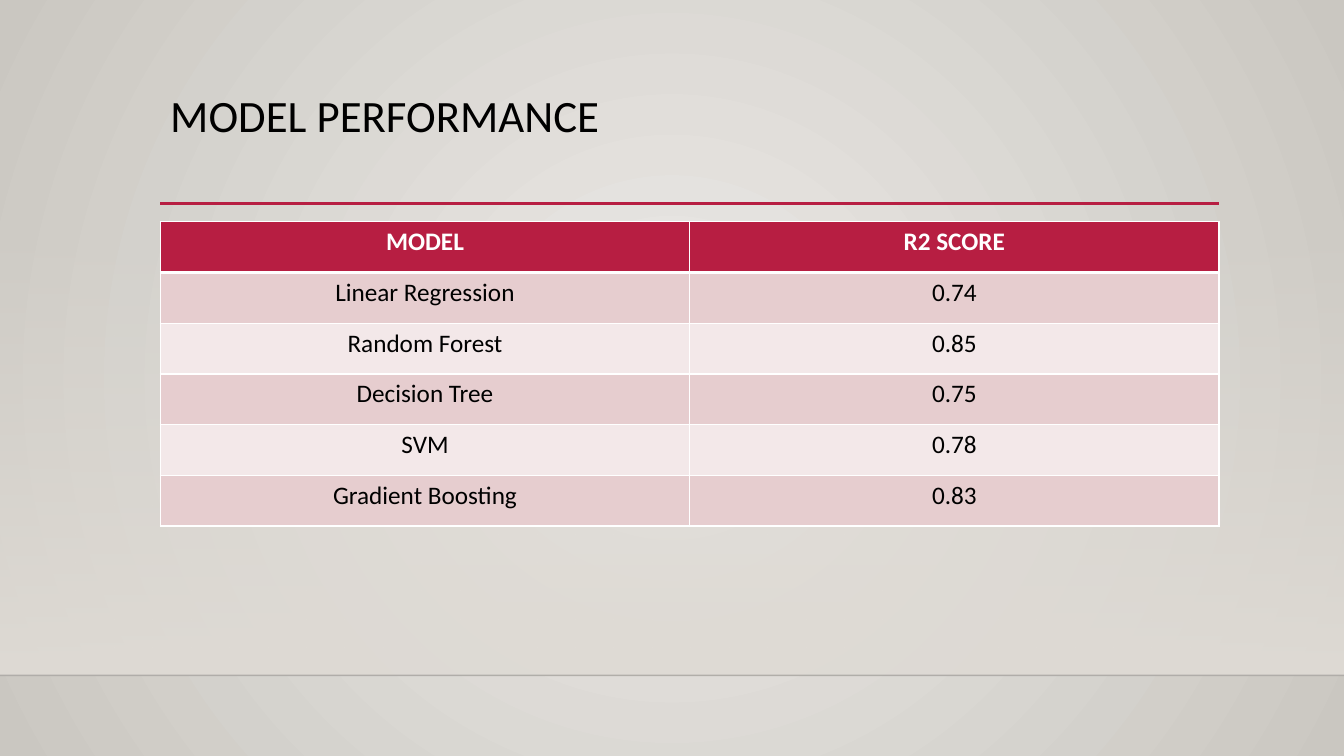
from lxml.etree import SubElement
from pptx import Presentation
from pptx.dml.color import RGBColor
from pptx.enum.shapes import MSO_CONNECTOR as Connector, MSO_SHAPE as Shape
from pptx.enum.text import MSO_ANCHOR as Anchor, PP_ALIGN as Align
from pptx.oxml import parse_xml
from pptx.oxml.ns import nsdecls, qn
from pptx.util import Inches, Pt

WIDTH, HEIGHT = Inches(13.33), Inches(7.5)
LEFT, CONTENT_WIDTH = Inches(1.59), Inches(10.5)
FLOOR_TOP = Inches(6.7)
FONT = "Calibri"
COLORS = {
    "glow": "ECEAE7", "edge": "CAC7C1", "wall": "DFDBD5", "floor_line": "000001",
    "accent": "B71E42", "text": "000000", "white": "FFFFFF",
    "band_dark": "E6CDCF", "band_light": "F3E8E9",
}
SCORES = [
    ("MODEL", "R2 SCORE"),
    ("Linear Regression", "0.74"),
    ("Random Forest", "0.85"),
    ("Decision Tree", "0.75"),
    ("SVM", "0.78"),
    ("Gradient Boosting", "0.83"),
]
RADIAL = ('<a:path path="circle"><a:fillToRect l="50000" t="50000" '
          'r="50000" b="50000"/></a:path>')
DOWNWARD = '<a:lin ang="5400000" scaled="0"/>'


def rgb(name):
    return RGBColor.from_string(COLORS[name])


def set_gradient(fill, owner, start, end, direction, start_alpha=100):
    fill.solid()
    fill.fore_color.rgb = rgb(start)
    solid = next(owner.iter(qn("a:solidFill")))
    gradient = parse_xml(
        f'<a:gradFill {nsdecls("a")} rotWithShape="1"><a:gsLst>'
        f'<a:gs pos="0"><a:srgbClr val="{COLORS[start]}">'
        f'<a:alpha val="{start_alpha * 1000}"/></a:srgbClr></a:gs>'
        f'<a:gs pos="100000"><a:srgbClr val="{COLORS[end]}"/></a:gs>'
        f'</a:gsLst>{direction}</a:gradFill>')
    solid.getparent().replace(solid, gradient)


def add_wall(slide, top):
    wall = slide.shapes.add_shape(Shape.RECTANGLE, 0, top, WIDTH, FLOOR_TOP - top)
    wall.shadow.inherit = False
    wall.line.fill.background()
    set_gradient(wall.fill, wall._element, "wall", "wall", DOWNWARD, 0)


def add_rule(slide, left, right, y, color, weight, alpha=100):
    rule = slide.shapes.add_connector(Connector.STRAIGHT, left, y, right, y)
    rule.line.color.rgb = rgb(color)
    rule.line.width = Pt(weight)
    properties = rule._element.spPr
    if alpha < 100:
        tint = next(properties.iter(qn("a:srgbClr")))
        SubElement(tint, qn("a:alpha"), val=str(alpha * 1000))
    SubElement(properties, qn("a:effectLst"))


def style_paragraph(paragraph, size, color, bold=False, align=Align.LEFT):
    paragraph.alignment = align
    font = paragraph.font
    font.name, font.size, font.bold = FONT, Pt(size), bold
    font.color.rgb = rgb(color)


def add_title(slide, words, top, height):
    title = slide.shapes.add_textbox(LEFT, top, CONTENT_WIDTH, height).text_frame
    title.word_wrap = True
    title.vertical_anchor = Anchor.TOP
    title.text = words
    title.paragraphs[0].line_spacing = 0.9
    style_paragraph(title.paragraphs[0], 32, "text")


def set_borders(cell, weights):
    properties = cell._tc.get_or_add_tcPr()
    for index, (side, weight) in enumerate(weights.items()):
        properties.insert(index, parse_xml(
            f'<a:ln{side} {nsdecls("a")} w="{Pt(weight)}"><a:solidFill>'
            f'<a:srgbClr val="{COLORS["white"]}"/></a:solidFill></a:ln{side}>'))


def add_score_table(slide, top, height):
    table = slide.shapes.add_table(
        len(SCORES), len(SCORES[0]), LEFT, top, CONTENT_WIDTH, height).table
    for r, record in enumerate(SCORES):
        header = r == 0
        band = "accent" if header else "band_dark" if r % 2 else "band_light"
        for c, words in enumerate(record):
            cell = table.cell(r, c)
            cell.text = words
            cell.fill.solid()
            cell.fill.fore_color.rgb = rgb(band)
            style_paragraph(cell.text_frame.paragraphs[0], 18,
                            "white" if header else "text", header, Align.CENTER)
            set_borders(cell, {"L": 1, "R": 1, "T": 3 if r == 1 else 1,
                               "B": 3 if header else 1})


def main():
    deck = Presentation()
    deck.slide_width, deck.slide_height = WIDTH, HEIGHT
    slide = deck.slides.add_slide(deck.slide_layouts[6])
    set_gradient(slide.background.fill, slide._element, "glow", "edge", RADIAL)
    add_wall(slide, Inches(2.21))
    add_rule(slide, 0, WIDTH, FLOOR_TOP, "floor_line", 1, 20)
    add_rule(slide, LEFT, LEFT + CONTENT_WIDTH, Inches(2.02), "accent", 2.5)
    add_title(slide, "MODEL PERFORMANCE", Inches(0.88), Inches(1.15))
    add_score_table(slide, Inches(2.2), Inches(3.02))
    deck.save("out.pptx")


if __name__ == "__main__":
    main()
